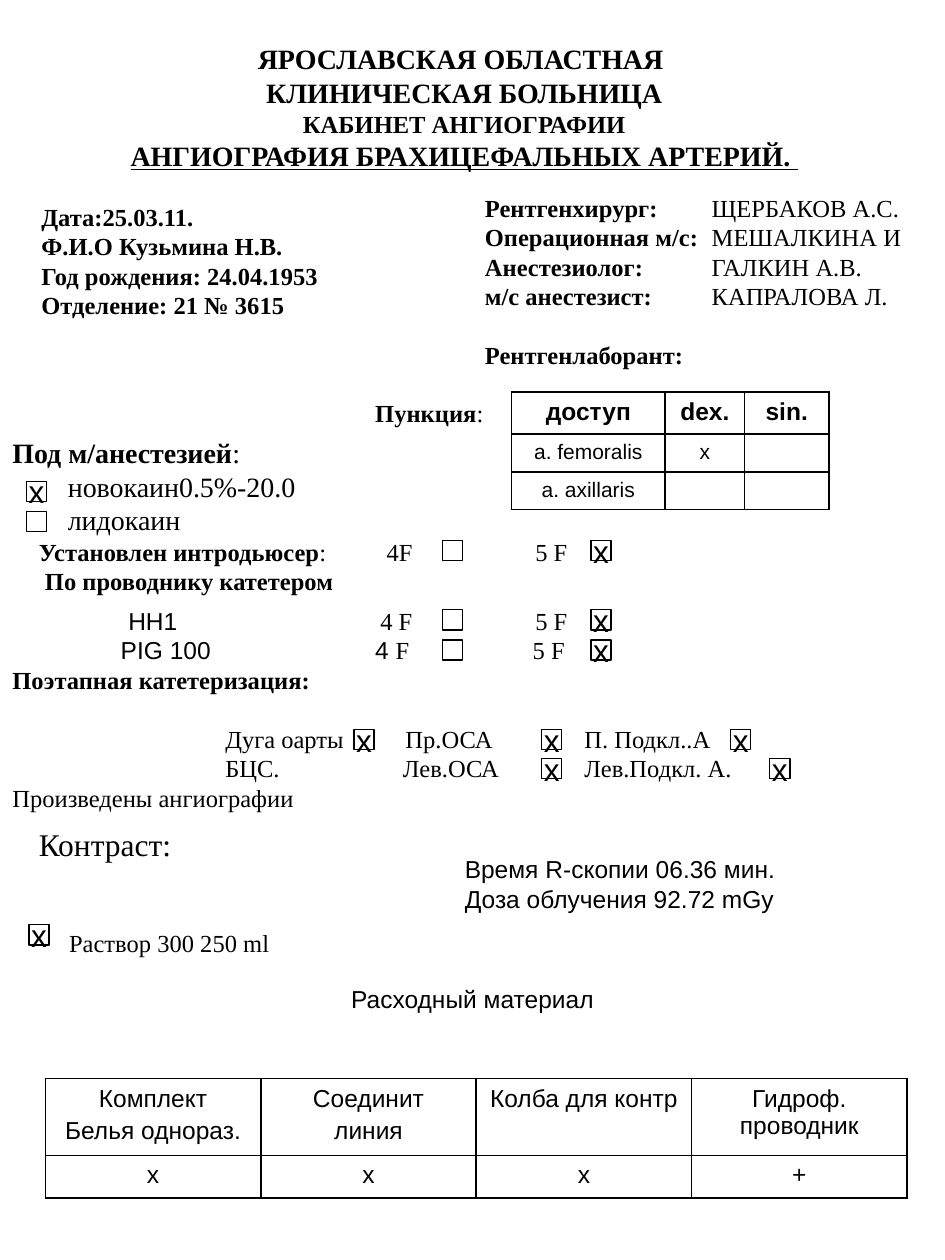
from lxml import etree
from pptx import Presentation
from pptx.dml.color import RGBColor
from pptx.enum.shapes import MSO_SHAPE
from pptx.enum.text import MSO_ANCHOR, PP_ALIGN
from pptx.oxml.ns import qn
from pptx.util import Inches, Pt

SERIF, SANS = "Times New Roman", "Arial"
BLACK = "000000"


def rgb(value):
    return RGBColor.from_string(value)


def style(font, size, name=SERIF, bold=False):
    font.size, font.name, font.bold = Pt(size), name, bold
    font.color.rgb = rgb(BLACK)


def add_tabs(p, stops):
    tabs = etree.SubElement(p._p.get_or_add_pPr(), qn("a:tabLst"))
    for stop in stops:
        etree.SubElement(tabs, qn("a:tab"), pos=str(Inches(stop)), algn="l")


def write(p, parts, size=14, name=SERIF, bold=False, tabs=(), before=0, align=PP_ALIGN.LEFT):
    if tabs:
        add_tabs(p, tabs)
    p.alignment = align
    if before:
        p.space_before = Pt(before)
    style(p.font, size, name, bold)
    for part in [parts] if isinstance(parts, str) else parts:
        text, changes = (part, {}) if isinstance(part, str) else part
        r = p.add_run()
        r.text = text
        for key, value in changes.items():
            setattr(r.font, key, value)


def fill_text(sp, lines, anchor=MSO_ANCHOR.TOP, wrap=True):
    tf = sp.text_frame
    tf.word_wrap, tf.vertical_anchor = wrap, anchor
    for i, (parts, options) in enumerate(lines):
        write(tf.paragraphs[0] if i == 0 else tf.add_paragraph(), parts, **options)
    return tf


def add_text(slide, box, lines, **options):
    return fill_text(slide.shapes.add_textbox(*map(Inches, box)), lines, **options)


def add_checks(slide, places):
    for left, top, mark in places:
        sp = slide.shapes.add_shape(MSO_SHAPE.RECTANGLE, Inches(left), Inches(top), Inches(0.16), Inches(0.16))
        sp.shadow.inherit = False
        sp.fill.background()
        sp.line.color.rgb = rgb(BLACK)
        sp.line.width = Pt(0.75)
        if mark:
            fill_text(sp, [(mark, dict(size=18, name=SANS, align=PP_ALIGN.CENTER))],
                      anchor=MSO_ANCHOR.MIDDLE, wrap=False)


def add_borders(cell):
    tcPr = cell._tc.get_or_add_tcPr()
    for side in ("a:lnL", "a:lnR", "a:lnT", "a:lnB"):
        ln = etree.SubElement(tcPr, qn(side), w=str(Pt(1)))
        fill = etree.SubElement(ln, qn("a:solidFill"))
        etree.SubElement(fill, qn("a:srgbClr"), val=BLACK)


def add_grid(slide, box, widths, heights, rows, formats):
    frame = slide.shapes.add_table(len(rows), len(widths), *map(Inches, box))
    table = frame.table
    table.first_row = table.horz_banding = False
    for column, width in zip(table.columns, widths):
        column.width = Inches(width)
    for row, height, texts, options in zip(table.rows, heights, rows, formats):
        row.height = Inches(height)
        for cell, text in zip(row.cells, texts):
            add_borders(cell)
            cell.fill.background()
            lines = text.split("\n")
            for i, line in enumerate(lines):
                p = cell.text_frame.paragraphs[0] if i == 0 else cell.text_frame.add_paragraph()
                write(p, line if line else [], name=SANS, align=PP_ALIGN.CENTER,
                      before=2.8 if i else 0, **options)


def add_heading(slide, box):
    title = slide.shapes.title
    title.left, title.top, title.width, title.height = map(Inches, box)
    big = dict(size=16, bold=True, align=PP_ALIGN.CENTER)
    fill_text(title, [
        ("ЯРОСЛАВСКАЯ ОБЛАСТНАЯ ", big),
        ("КЛИНИЧЕСКАЯ БОЛЬНИЦА", big),
        ("КАБИНЕТ АНГИОГРАФИИ", {**big, "size": 14}),
        ([("АНГИОГРАФИЯ БРАХИЦЕФАЛЬНЫХ АРТЕРИЙ. ", dict(underline=True))], big),
    ], wrap=False)


def add_patient(slide, box):
    lines = ["Дата:25.03.11.", "Ф.И.О Кузьмина Н.В.", "Год рождения: 24.04.1953", "Отделение: 21 № 3615"]
    add_text(slide, box, [(line, dict(bold=True)) for line in lines], anchor=MSO_ANCHOR.MIDDLE, wrap=False)


def add_staff(slide, box):
    staff = [("Рентгенхирург:", "ЩЕРБАКОВ А.С."), ("Операционная м/с:", "МЕШАЛКИНА И"),
             ("Анестезиолог:", "ГАЛКИН А.В."), ("м/с анестезист:", "КАПРАЛОВА Л.")]
    lines = [([(role, dict(bold=True)), "\t" + person], dict(tabs=[1.8])) for role, person in staff]
    add_text(slide, box, lines + [("Рентгенлаборант:", dict(bold=True, before=17))])


def add_access(slide, box):
    left, top = box[:2]
    add_text(slide, (left - 1.18, top, 1.06, 0.33), [([("Пункция", dict(bold=True)), ":"], {})], wrap=False)
    add_grid(slide, box, [1.22, 0.63, 0.67], [0.33, 0.3, 0.3],
             [["доступ", "dex.", "sin."], ["a. femoralis", "х", ""], ["a. axillaris", "", ""]],
             [dict(bold=True), dict(size=12), dict(size=12)])


def add_anaesthesia(slide, box):
    drug = dict(size=16, tabs=[0.44])
    add_text(slide, box, [
        ([("Под м/анестезией", dict(bold=True)), ":"], dict(size=16)),
        ("\tновокаин0.5%-20.0", drug),
        ("\tлидокаин", drug),
    ], wrap=False)
    add_checks(slide, [(0.21, 3.82, "х"), (0.21, 4.06, "")])


def add_introducer(slide, box):
    add_text(slide, box, [
        ([("Установлен интродьюсер", dict(bold=True)), ":\t4F\t5 F"], dict(tabs=[2.76, 3.94])),
        (" По проводнику катетером", dict(bold=True)),
    ])
    add_checks(slide, [(3.51, 4.29, ""), (4.69, 4.29, "х")])


def add_catheters(slide, box):
    sans = dict(name=SANS)
    add_text(slide, box, [
        ([("\tHH1", sans), "\t4 F\t5 F"], dict(tabs=[0.92, 2.92, 4.15])),
        ([("\tРIG 100\t4 ", sans), "F\t5 F"], dict(tabs=[0.86, 2.88, 4.13])),
        ("Поэтапная катетеризация:", dict(bold=True)),
        ("\tДуга оарты\tПр.ОСА\tП. Подкл..А", dict(tabs=[1.69, 3.12, 4.54], before=17)),
        ("\tБЦС.\tЛев.ОСА\tЛев.Подкл. А.", dict(tabs=[1.69, 3.1, 4.54])),
        ("Произведены ангиографии", {}),
    ])
    add_checks(slide, [(left, top, mark) for top in (4.84, 5.08) for left, mark in ((3.51, ""), (4.69, "х"))])
    add_checks(slide, [(2.81, 5.79, "х"), (4.3, 5.79, "х"), (5.8, 5.79, "х"), (4.3, 6.02, "х"), (6.11, 6.02, "х")])


def add_contrast(slide, box):
    add_text(slide, box, [
        ("Контраст:", dict(size=18)),
        ("\tРаствор 300 250 ml", dict(tabs=[0.24], before=37)),
    ])
    add_checks(slide, [(0.23, 7.34, "х")])


def add_exposure(slide, box):
    sans = dict(name=SANS)
    add_text(slide, box, [("Время R-скопии 06.36 мин.", sans), ("Доза облучения 92.72 mGy", sans)])


def add_supplies(slide, box):
    left, top, width, height = box
    add_text(slide, (0, top - 0.8, 7.5, 0.35),
             [("Расходный материал", dict(name=SANS, align=PP_ALIGN.CENTER))])
    add_grid(slide, box, [width / 4] * 4, [0.61, 0.34],
             [["Комплект\nБелья однораз.", "Соединит\nлиния", "Колба для контр", "Гидроф. проводник"],
              ["х", "х", "х", "+"]], [{}, {}])


def main():
    prs = Presentation()
    prs.slide_width, prs.slide_height = Inches(7.5), Inches(10)
    slide = prs.slides.add_slide(prs.slide_layouts[5])
    add_heading(slide, (0.31, 0.28, 6.75, 1.2))
    add_patient(slide, (0.23, 1.33, 3.31, 1.48))
    add_staff(slide, (3.75, 1.48, 3.75, 1.51))
    add_access(slide, (4.06, 3.11, 2.52, 0.93))
    add_anaesthesia(slide, (0, 3.41, 3.42, 0.9))
    add_introducer(slide, (0.21, 4.21, 6.32, 0.57))
    add_catheters(slide, (0, 4.76, 7.5, 1.75))
    add_contrast(slide, (0.21, 6.5, 3.72, 1.2))
    add_exposure(slide, (3.59, 6.73, 3.12, 0.57))
    add_supplies(slide, (0.36, 8.56, 6.84, 0.95))
    prs.save("out.pptx")


if __name__ == "__main__":
    main()
